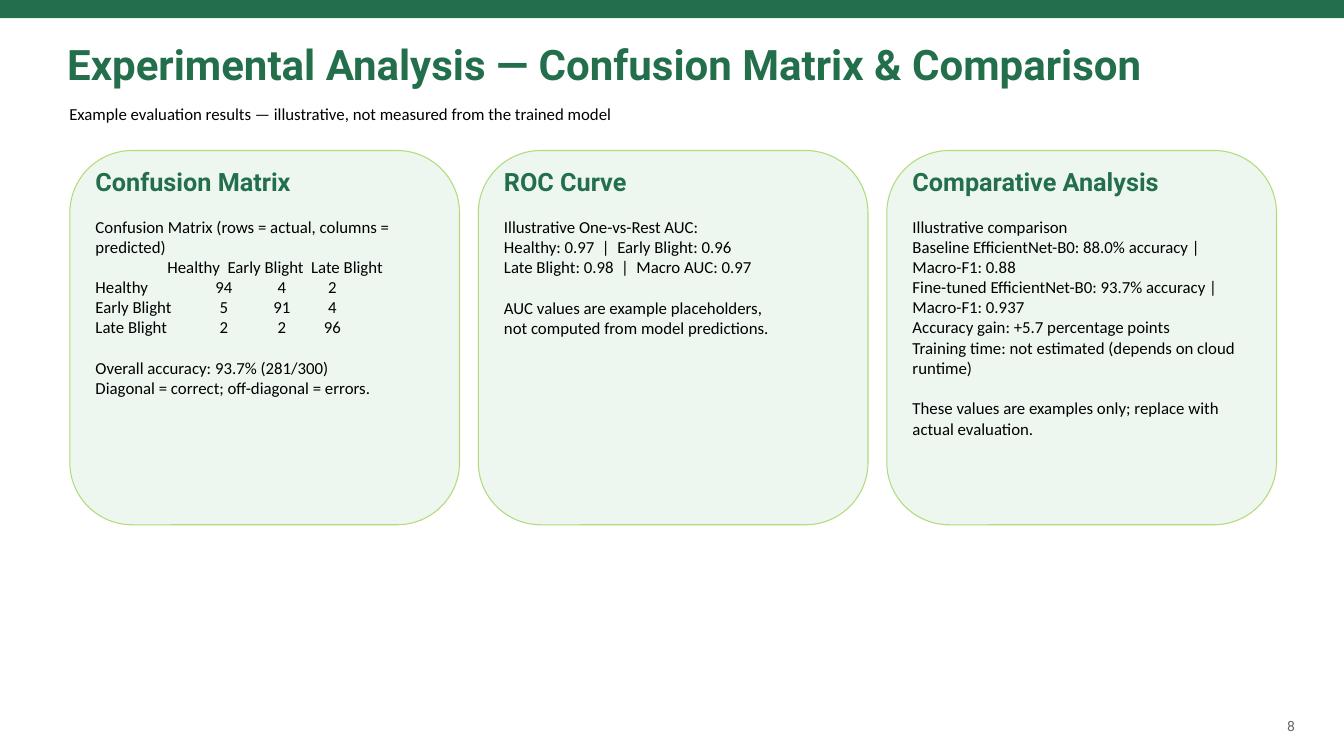
"""Build the experimental analysis slide with three result cards."""
from dataclasses import dataclass

from lxml import etree
from pptx import Presentation
from pptx.dml.color import RGBColor
from pptx.enum.shapes import MSO_SHAPE
from pptx.enum.text import MSO_ANCHOR, MSO_AUTO_SIZE, PP_ALIGN
from pptx.oxml.ns import qn
from pptx.util import Cm, Pt

RECT, ROUNDED = MSO_SHAPE.RECTANGLE, MSO_SHAPE.ROUNDED_RECTANGLE
LEFT, RIGHT = PP_ALIGN.LEFT, PP_ALIGN.RIGHT
TOP, NO_FIT = MSO_ANCHOR.TOP, MSO_AUTO_SIZE.NONE

GREEN, PALE, LIME, BLACK, GREY = "236F4C", "EEF7EF", "B2DB7D", "000000", "5F6964"
SLIDE_W, SLIDE_H = 50.8, 28.58
CARD_X, CARD_Y, CARD_W, CARD_H, CARD_GAP = 2.64, 5.69, 14.73, 14.15, 0.71
PAD = 0.97

TITLE = {"size": Pt(45), "name": "Roboto", "bold": True}
HEADING = {"size": Pt(27), "name": "Roboto", "bold": True}
BODY = {"size": Pt(18), "name": "Calibri", "bold": False}
NUMBER = {"size": Pt(15), "name": "Roboto", "bold": False}
FRAME = {"margin_left": 0, "margin_top": 0, "margin_right": 0, "margin_bottom": 0,
         "word_wrap": True, "auto_size": NO_FIT, "vertical_anchor": TOP}
BLOCK_SPACE = Pt(22)


@dataclass(frozen=True)
class Line:
    text: str
    tabs: tuple[float, ...] = ()
    tab_align: str = "l"
    new_block: bool = False


@dataclass(frozen=True)
class Card:
    heading: str
    lines: tuple[Line, ...]


def matrix_row(label: str, *counts: int) -> Line:
    """Return a matrix row with its counts on centred tab stops."""
    return Line("\t".join([label, *map(str, counts)]), (4.85, 7.05, 8.95), "ctr")


CARDS = (
    Card("Confusion Matrix", (
        Line("Confusion Matrix (rows = actual, columns = predicted)"),
        Line("\tHealthy\tEarly Blight\tLate Blight", (2.72, 4.99, 8.15)),
        matrix_row("Healthy", 94, 4, 2),
        matrix_row("Early Blight", 5, 91, 4),
        matrix_row("Late Blight", 2, 2, 96),
        Line("Overall accuracy: 93.7% (281/300)", new_block=True),
        Line("Diagonal = correct; off-diagonal = errors."),
    )),
    Card("ROC Curve", (
        Line("Illustrative One-vs-Rest AUC:"),
        Line("Healthy: 0.97  |  Early Blight: 0.96"),
        Line("Late Blight: 0.98  |  Macro AUC: 0.97"),
        Line("AUC values are example placeholders,", new_block=True),
        Line("not computed from model predictions."),
    )),
    Card("Comparative Analysis", (
        Line("Illustrative comparison"),
        Line("Baseline EfficientNet-B0: 88.0% accuracy | Macro-F1: 0.88"),
        Line("Fine-tuned EfficientNet-B0: 93.7% accuracy | Macro-F1: 0.937"),
        Line("Accuracy gain: +5.7 percentage points"),
        Line("Training time: not estimated (depends on cloud runtime)"),
        Line("These values are examples only; replace with actual evaluation.",
             new_block=True),
    )),
)


def rgb(value: str) -> RGBColor:
    """Turn a hex string into a colour."""
    return RGBColor.from_string(value)


def set_attrs(target, values: dict) -> None:
    """Set each named value on the target."""
    for name, value in values.items():
        setattr(target, name, value)


def add_tabs(p, line: Line) -> None:
    """Add the tab stops of a line to its paragraph."""
    tabs = etree.SubElement(p._p.get_or_add_pPr(), qn("a:tabLst"))
    for pos in line.tabs:
        etree.SubElement(tabs, qn("a:tab"), pos=str(int(Cm(pos))), algn=line.tab_align)


def write(tf, lines: tuple[Line, ...], fmt: dict, color: str,
          align=LEFT, spacing=None) -> None:
    """Fill a text frame with formatted lines."""
    set_attrs(tf, FRAME)
    for i, line in enumerate(lines):
        p = tf.add_paragraph() if i else tf.paragraphs[0]
        if line.tabs:
            add_tabs(p, line)
        space = BLOCK_SPACE if line.new_block else Pt(0)
        set_attrs(p, {"alignment": align, "line_spacing": spacing, "space_before": space})
        r = p.add_run()
        r.text = line.text
        set_attrs(r.font, fmt)
        r.font.color.rgb = rgb(color)


def add_text(s, box: tuple[float, ...], lines: tuple[Line, ...], fmt: dict,
             color: str, align=LEFT, spacing=None) -> None:
    """Add a text box measured in centimetres."""
    sp = s.shapes.add_textbox(*map(Cm, box))
    write(sp.text_frame, lines, fmt, color, align, spacing)


def add_panel(s, kind, box: tuple[float, ...], fill: str, line: str = "") -> None:
    """Add a filled shape with an optional outline."""
    sp = s.shapes.add_shape(kind, *map(Cm, box))
    sp.shadow.inherit = False
    sp.fill.solid()
    sp.fill.fore_color.rgb = rgb(fill)
    if line:
        sp.line.color.rgb = rgb(line)
        sp.line.width = Pt(1.13)
    else:
        sp.line.fill.background()


def add_card(s, card: Card, x: float) -> None:
    """Add a card with its heading and body text."""
    add_panel(s, ROUNDED, (x, CARD_Y, CARD_W, CARD_H), PALE, LIME)
    left, width = x + PAD, CARD_W - 2 * PAD
    add_text(s, (left, 6.3, width, 1.35), (Line(card.heading),), HEADING, GREEN,
             spacing=Pt(32.4))
    add_text(s, (left, 8.18, width, 11.02), card.lines, BODY, BLACK)


def main() -> None:
    """Create the slide and save it."""
    prs = Presentation()
    prs.slide_width, prs.slide_height = Cm(SLIDE_W), Cm(SLIDE_H)
    s = prs.slides.add_slide(prs.slide_layouts[5])
    add_panel(s, RECT, (0, 0, SLIDE_W, 0.69), GREEN)
    title = s.shapes.title
    set_attrs(title, {"left": Cm(2.54), "top": Cm(1.47),
                      "width": Cm(45.62), "height": Cm(2.24)})
    write(title.text_frame, (Line("Experimental Analysis — Confusion Matrix & Comparison"),),
          TITLE, GREEN, spacing=Pt(54))
    add_text(s, (2.62, 3.94, 45.24, 1.19),
             (Line("Example evaluation results — illustrative, "
                   "not measured from the trained model"),), BODY, BLACK)
    for i, card in enumerate(CARDS):
        add_card(s, card, CARD_X + i * (CARD_W + CARD_GAP))
    add_text(s, (47.73, 27.13, 1.22, 0.71), (Line("8"),), NUMBER, GREY, RIGHT, Pt(18))
    prs.save("out.pptx")


if __name__ == "__main__":
    main()
